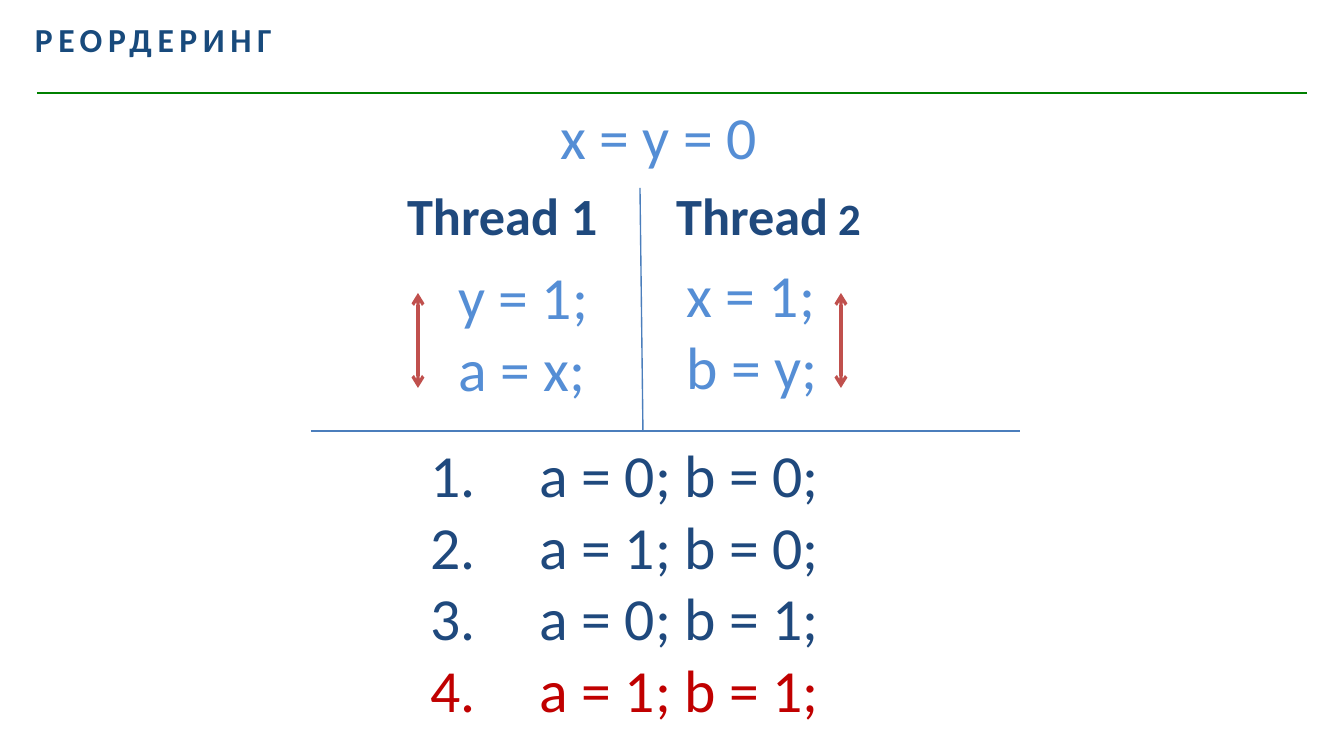
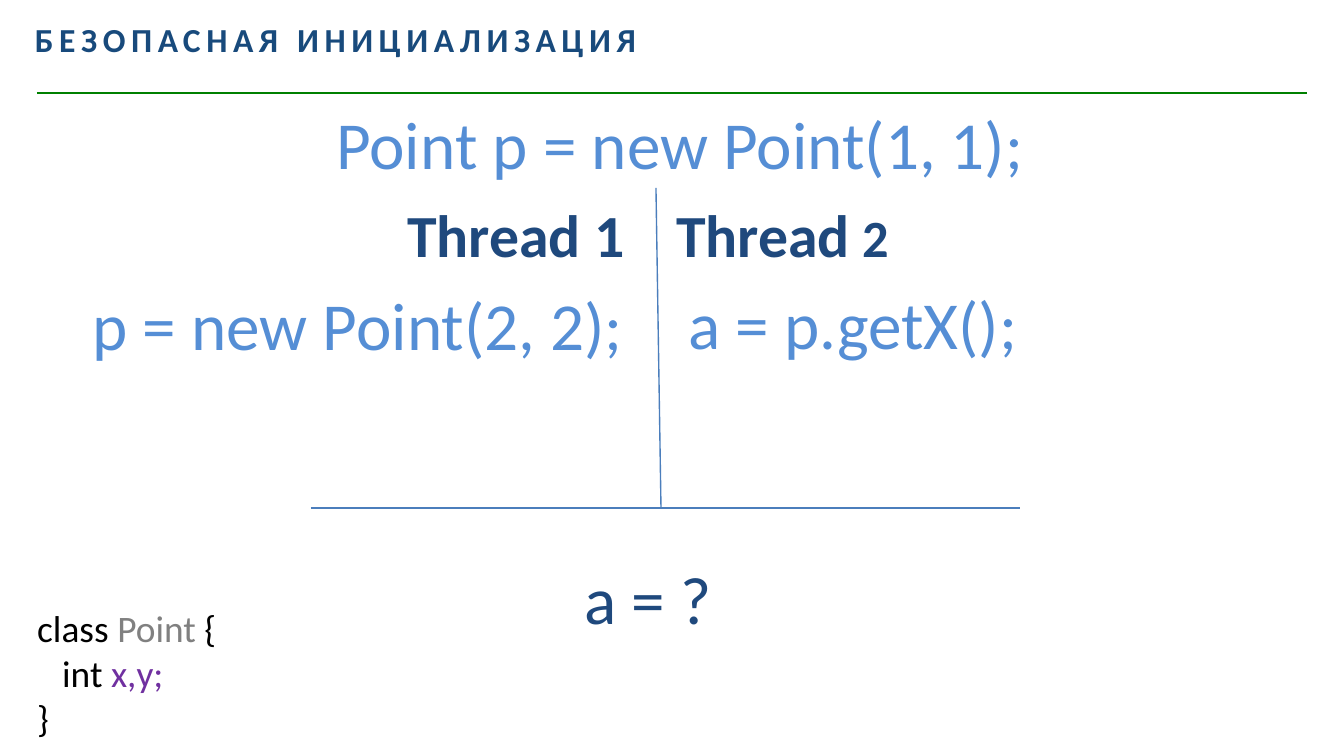
from lxml import etree
from pptx import Presentation
from pptx.dml.color import RGBColor
from pptx.enum.shapes import MSO_CONNECTOR
from pptx.enum.text import MSO_ANCHOR, MSO_AUTO_SIZE, PP_ALIGN
from pptx.oxml.ns import qn
from pptx.util import Inches, Pt

STRAIGHT = MSO_CONNECTOR.STRAIGHT
TOP = MSO_ANCHOR.TOP
NO_FIT = MSO_AUTO_SIZE.NONE
LEFT = PP_ALIGN.LEFT

EMU_PER_PIXEL = 914400 / 134.4
SLIDE_WIDTH, SLIDE_HEIGHT = 1344, 756
FONT = "Calibri"

TITLE_BLUE = RGBColor(0x18, 0x4A, 0x7C)
NAVY = RGBColor(0x1F, 0x49, 0x7D)
SKY = RGBColor(0x55, 0x8E, 0xD5)
RULE_GREEN = RGBColor(0x00, 0x80, 0x00)
LINE_BLUE = RGBColor(0x4B, 0x7E, 0xBC)
ARROW_RED = RGBColor(0xC0, 0x50, 0x4D)
ANSWER_RED = RGBColor(0xC0, 0x00, 0x00)
BLACK = RGBColor(0x00, 0x00, 0x00)
GRAY = RGBColor(0x80, 0x80, 0x80)
PURPLE = RGBColor(0x70, 0x30, 0xA0)


def px(length):
    return round(length * EMU_PER_PIXEL)


def place(shape, left, top, width, height):
    places = {"left": left, "top": top, "width": width, "height": height}
    for name, value in places.items():
        setattr(shape, name, px(value))


def set_frame(frame, **extra):
    values = {"word_wrap": True, "auto_size": NO_FIT, "vertical_anchor": TOP}
    for name, value in {**values, **extra}.items():
        setattr(frame, name, value)


def add_span(para, text, size, color, bold=False):
    span = para.add_run()
    span.text = text
    span.font.color.rgb = color
    for name, value in {"name": FONT, "size": Pt(size), "bold": bold}.items():
        setattr(span.font, name, value)
    return span


def write_lines(frame, lines):
    """Each line is a list of (text, size, color[, bold]) spans."""
    for index, spans in enumerate(lines):
        para = frame.add_paragraph() if index else frame.paragraphs[0]
        for span in spans:
            add_span(para, *span)


def add_text(slide, place_at, lines):
    box = slide.shapes.add_textbox(0, 0, 0, 0)
    place(box, *place_at)
    set_frame(box.text_frame)
    write_lines(box.text_frame, lines)
    return box


def add_code(slide, place_at, size, color, *texts):
    return add_text(slide, place_at, [[(text, size, color)] for text in texts])


def add_line(slide, start, end, color, width=0.75, arrows=False):
    line = slide.shapes.add_connector(
        STRAIGHT, *(px(value) for value in (*start, *end)))
    line.line.color.rgb = color
    line.line.width = Pt(width)
    if arrows:
        outline = line.line._get_or_add_ln()
        for tag in ("a:headEnd", "a:tailEnd"):
            etree.SubElement(outline, qn(tag), type="arrow")
    etree.SubElement(line._element.spPr, qn("a:effectLst"))


def add_titled_slide(deck, layout_index, text):
    slide = deck.slides.add_slide(deck.slide_layouts[layout_index])
    add_line(slide, (37, 93), (1307, 93), RULE_GREEN)
    title = slide.shapes.title
    place(title, 35, 12, 1102, 60)
    set_frame(title.text_frame, margin_left=0, margin_top=Inches(0.05),
              margin_right=Inches(0.1), margin_bottom=0)
    para = title.text_frame.paragraphs[0]
    para.alignment = LEFT
    span = add_span(para, text, 18, TITLE_BLUE, True)
    span._r.get_or_add_rPr().set("spc", "300")
    return slide


def add_threads(slide, top, height, size, divider_x, base_y):
    """Two thread headings, the divider between them and the base line."""
    add_text(slide, (394, top, 247, height),
             [[("Thread 1", size, NAVY, True)]])
    add_text(slide, (663, top, 284, height),
             [[("Thread", size, NAVY, True), (" 2", size - 4, NAVY, True)]])
    add_line(slide, (divider_x[0], 188), (divider_x[1], base_y), LINE_BLUE)
    add_line(slide, (311, base_y), (1020, base_y), LINE_BLUE)


def fill_numbered_list(body, place_at, lines, indent):
    place(body, *place_at)
    set_frame(body.text_frame)
    write_lines(body.text_frame, lines)
    for para in body.text_frame.paragraphs:
        para.space_before = Pt(0)
        properties = para._p.get_or_add_pPr()
        properties.set("marL", str(px(indent)))
        properties.set("indent", str(-px(indent)))
        etree.SubElement(properties, qn("a:buFont"), typeface=FONT)
        etree.SubElement(properties, qn("a:buAutoNum"), type="arabicPeriod")


def build_reordering(deck):
    slide = add_titled_slide(deck, 1, "РЕОРДЕРИНГ")
    add_code(slide, (547, 93, 284, 86), 32, SKY, "x = y = 0")
    add_threads(slide, 177, 77, 28, (640, 643), 431)
    add_code(slide, (445, 253, 202, 159), 32, SKY, "y = 1;", "a = x;")
    add_code(slide, (673, 251, 202, 159), 32, SKY, "x = 1;", "b = y;")

    # Possible results; the last one needs reordering
    results = [(0, 0), (1, 0), (0, 1), (1, 1)]
    lines = [[(f"a = {a}; b = {b};", 32, ANSWER_RED if a and b else NAVY)]
             for a, b in results]
    fill_numbered_list(slide.placeholders[1], (417, 431, 603, 310), lines, 109)

    # Swap arrows beside each thread
    for x in (418, 841):
        add_line(slide, (x, 293), (x, 388), ARROW_RED, 1.75, arrows=True)


def build_safe_initialization(deck):
    slide = add_titled_slide(deck, 5, "БЕЗОПАСНАЯ ИНИЦИАЛИЗАЦИЯ")
    add_code(slide, (571, 551, 202, 95), 36, NAVY, "a = ?")
    add_code(slide, (323, 96, 730, 95), 36, SKY, "Point p = new Point(1, 1);")
    add_threads(slide, 191, 86, 32, (656, 661), 508)
    add_code(slide, (79, 277, 567, 176), 36, SKY, "p = new Point(2, 2);")
    add_code(slide, (675, 276, 368, 176), 36, SKY, "a = p.getX();")

    # Class listing
    listing = add_text(slide, (24, 599, 298, 149), [
        [("class ", 20, BLACK), ("Point", 20, GRAY), (" {", 20, BLACK)],
        [("int ", 20, BLACK), ("x,y;", 20, PURPLE)],
        [("}", 20, BLACK)],
    ])
    field = listing.text_frame.paragraphs[1]
    field._p.get_or_add_pPr().set("marL", str(px(25)))


def main():
    deck = Presentation()
    deck.slide_width = px(SLIDE_WIDTH)
    deck.slide_height = px(SLIDE_HEIGHT)
    build_reordering(deck)
    build_safe_initialization(deck)
    deck.save("out.pptx")


main()
